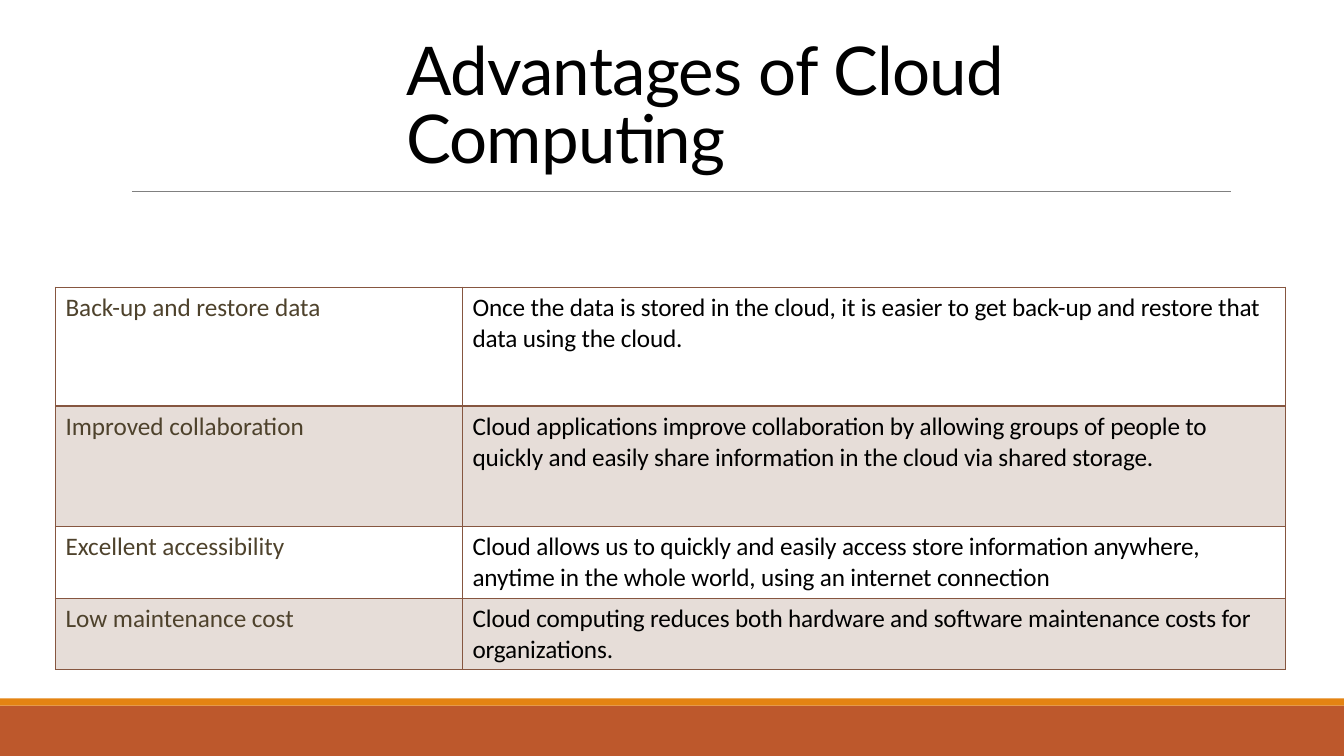
"""Build the slide on the advantages of cloud computing."""
from dataclasses import dataclass

from lxml import etree
from pptx import Presentation, util as u
from pptx.dml.color import RGBColor
from pptx.enum import shapes, text
from pptx.oxml import ns


@dataclass(frozen=True)
class Theme:
    rust: str = "BD582C"
    orange: str = "E48312"
    rule: str = "808080"
    brown: str = "865640"
    label: str = "4E422C"
    ink: str = "000000"
    title_font: str = "Lato"
    body_font: str = "Calibri"
    title_size: int = 48
    body_size: int = 18
    band_alpha: int = 20


theme = Theme()


def add_run(p, words, font, size, color, spacing):
    r = p.add_run()
    r.text = words
    r.font.name = font
    r.font.size = u.Pt(size)
    r.font.color.rgb = RGBColor.from_string(color)
    r.font._element.set("spc", str(round(spacing * 100)))


def add_border(tcPr, side, width):
    ln = etree.SubElement(tcPr, ns.qn(f"a:ln{side}"), w=str(u.Pt(width)))
    fill = etree.SubElement(ln, ns.qn("a:solidFill"))
    etree.SubElement(fill, ns.qn("a:srgbClr"), val=theme.brown)


prs = Presentation()
prs.slide_width, prs.slide_height = u.Pt(960), u.Pt(540)
s = prs.slides.add_slide(prs.slide_layouts[6])

for top, height, color in [(504, 36, theme.rust), (498.9, 5.1, theme.orange)]:
    sp = s.shapes.add_shape(shapes.MSO_SHAPE.RECTANGLE, 0, u.Pt(top), prs.slide_width, u.Pt(height))
    sp.shadow.inherit = False
    sp.fill.solid()
    sp.fill.fore_color.rgb = RGBColor.from_string(color)
    sp.line.fill.background()

rule = s.shapes.add_connector(shapes.MSO_CONNECTOR.STRAIGHT, u.Pt(94.3), u.Pt(136.8), u.Pt(879), u.Pt(136.8))
rule.line.color.rgb = RGBColor.from_string(theme.rule)
rule.line.width = u.Pt(0.5)
etree.SubElement(rule._element.spPr, ns.qn("a:effectLst"))

advantages = [
    ("Back-up and restore data",
     "Once the data is stored in the cloud, it is easier to get back-up and restore that data using the cloud."),
    ("Improved collaboration",
     "Cloud applications improve collaboration by allowing groups of people to quickly and easily share "
     "information in the cloud via shared storage."),
    ("Excellent accessibility",
     "Cloud allows us to quickly and easily access store information anywhere, anytime in the whole world, "
     "using an internet connection"),
    ("Low maintenance cost",
     "Cloud computing reduces both hardware and software maintenance costs for organizations."),
]
widths = [290.8, 588]
heights = [85, 86, 51, 51]

frame = s.shapes.add_table(len(heights), len(widths), u.Pt(39.6), u.Pt(205.2), u.Pt(sum(widths)), u.Pt(sum(heights)))
table = frame.table
table.first_row = table.horz_banding = False
for column, width in zip(table.columns, widths):
    column.width = u.Pt(width)

for i, (height, row) in enumerate(zip(heights, advantages)):
    table.rows[i].height = u.Pt(height)
    for j, (words, color, spacing) in enumerate(zip(row, (theme.label, theme.ink), (0, -0.1))):
        cell = table.cell(i, j)
        add_run(cell.text_frame.paragraphs[0], words, theme.body_font, theme.body_size, color, spacing)
        tcPr = cell._tc.get_or_add_tcPr()
        for side in "LRTB":
            heavy = (i, side) in [(0, "B"), (1, "T")]
            add_border(tcPr, side, 2 if heavy else 1)
        if i % 2:
            cell.fill.solid()
            cell.fill.fore_color.rgb = RGBColor.from_string(theme.brown)
            tint = tcPr.find(ns.qn("a:solidFill")).find(ns.qn("a:srgbClr"))
            etree.SubElement(tint, ns.qn("a:alpha"), val=str(theme.band_alpha * 1000))
        else:
            cell.fill.background()

title = s.shapes.add_textbox(u.Pt(283), u.Pt(23), u.Pt(571), u.Pt(107.3))
tf = title.text_frame
tf.word_wrap = True
tf.vertical_anchor = text.MSO_ANCHOR.BOTTOM
p = tf.paragraphs[0]
p.line_spacing = 0.85
add_run(p, "Advantages of Cloud Computing", theme.title_font, theme.title_size, theme.ink, -0.5)

prs.save("out.pptx")
